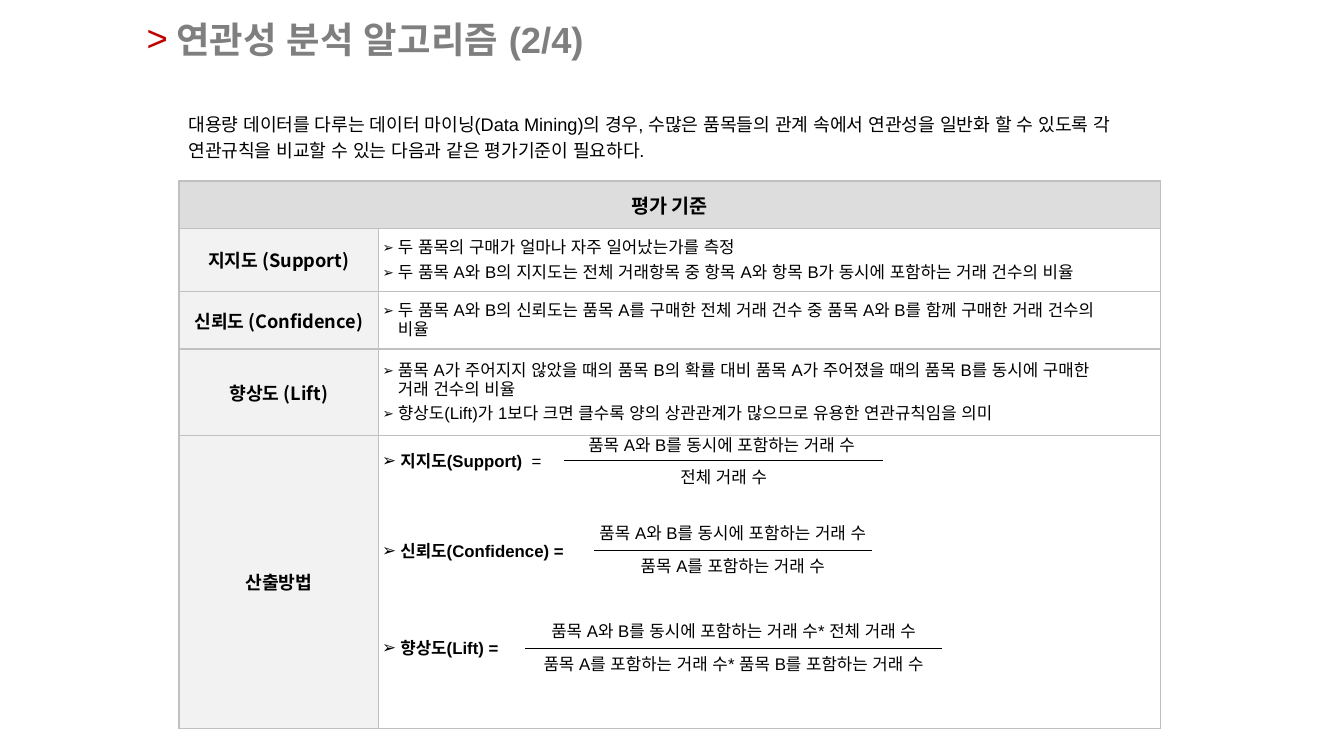
from lxml import etree
from pptx import Presentation
from pptx.dml.color import RGBColor
from pptx.enum.shapes import MSO_CONNECTOR
from pptx.enum.text import MSO_ANCHOR, PP_ALIGN
from pptx.oxml import parse_xml
from pptx.oxml.ns import nsdecls, qn
from pptx.util import Pt

NOTO = "Noto Sans CJK KR"
rgb = RGBColor.from_string


def style(p, size, color="000000", bold=False, font="Arial"):
    for r in p.runs:
        r.font.size = Pt(size)
        r.font.bold = bold
        r.font.color.rgb = rgb(color)
        r.font.name = font
        etree.SubElement(r.font._element, qn("a:ea")).set("typeface", font)


def add_bullet(p, char, indent, color="000000", percent=100):
    pPr = p._p.get_or_add_pPr()
    pPr.set("marL", str(Pt(indent)))
    pPr.set("indent", str(-Pt(indent)))
    for xml in (f'<a:buClr {nsdecls("a")}><a:srgbClr val="{color}"/></a:buClr>',
                f'<a:buSzPct {nsdecls("a")} val="{percent * 1000}"/>',
                f'<a:buFont {nsdecls("a")} typeface="Arial"/>',
                f'<a:buChar {nsdecls("a")} char="{char}"/>'):
        pPr.append(parse_xml(xml))


prs = Presentation()
prs.slide_width, prs.slide_height = Pt(960), Pt(540)
s = prs.slides.add_slide(prs.slide_layouts[5])

title = s.shapes.title
title.left, title.top, title.width, title.height = Pt(97.5), Pt(8.5), Pt(658), Pt(37)
tf = title.text_frame
tf.text = "연관성 분석 알고리즘 (2/4)"
tf.vertical_anchor = MSO_ANCHOR.TOP
p = tf.paragraphs[0]
p.alignment = PP_ALIGN.LEFT
style(p, 26, "7F7F7F", True)
add_bullet(p, ">", 21, "C00000")

rows = [
    ("지지도 (Support)", 45, [
        "두 품목의 구매가 얼마나 자주 일어났는가를 측정",
        "두 품목 A와 B의 지지도는 전체 거래항목 중 항목 A와 항목 B가 동시에 포함하는 거래 건수의 비율"]),
    ("신뢰도 (Confidence)", 41, [
        "두 품목 A와 B의 신뢰도는 품목 A를 구매한 전체 거래 건수 중 품목 A와 B를 함께 구매한 거래 건수의\v비율"]),
    ("향상도 (Lift)", 62, [
        "품목 A가 주어지지 않았을 때의 품목 B의 확률 대비 품목 A가 주어졌을 때의 품목 B를 동시에 구매한\v거래 건수의 비율",
        "향상도(Lift)가 1보다 크면 클수록 양의 상관관계가 많으므로 유용한 연관규칙임을 의미"]),
    ("산출방법", 209, []),
]
table = s.shapes.add_table(5, 2, Pt(127.8), Pt(129.3), Pt(701), Pt(391)).table
table.columns[0].width, table.columns[1].width = Pt(142.5), Pt(558.5)
table.rows[0].height = Pt(34)

header = table.cell(0, 0)
header.merge(table.cell(0, 1))
header.text_frame.text = "평가 기준"
p = header.text_frame.paragraphs[0]
p.alignment = PP_ALIGN.CENTER
style(p, 14, bold=True, font=NOTO)

for i, (label, height, criteria) in enumerate(rows, 1):
    table.rows[i].height = Pt(height)
    name, detail = table.cell(i, 0), table.cell(i, 1)
    name.text_frame.text = label
    p = name.text_frame.paragraphs[0]
    p.alignment = PP_ALIGN.CENTER
    style(p, 13, bold=True, font=NOTO)
    tf = detail.text_frame
    for j, text in enumerate(criteria):
        p = tf.add_paragraph() if j else tf.paragraphs[0]
        p.text = text
        p.space_before = Pt(4.2)
        style(p, 12)
        add_bullet(p, "➢", 11, percent=80)

for i in range(5):
    for j in range(2):
        cell = table.cell(i, j)
        cell.vertical_anchor = MSO_ANCHOR.MIDDLE
        cell.margin_left = cell.margin_right = Pt(3)
        cell.margin_top = cell.margin_bottom = Pt(2.8)
        cell.fill.solid()
        cell.fill.fore_color.rgb = rgb("DDDDDD" if i == 0 else ("F2F2F2", "FFFFFF")[j])
        tcPr = cell._tc.get_or_add_tcPr()
        for k, side in enumerate("LRTB"):
            tcPr.insert(k, parse_xml(
                f'<a:ln{side} {nsdecls("a")} w="{Pt(1)}"><a:solidFill>'
                f'<a:srgbClr val="C0C0C0"/></a:solidFill></a:ln{side}>'))

formulas = [
    ("지지도(Support) ", False, 318, 148, (403, 631, 329),
     ("품목 A와 B를 동시에 포함하는 거래 수", 515.5, 306.5), ("전체 거래 수", 517, 329.5)),
    ("신뢰도(Confidence)", True, 382.5, 150, (424, 623, 393),
     ("품목 A와 B를 동시에 포함하는 거래 수", 523.5, 369.5), ("품목 A를 포함하는 거래 수", 523.5, 393)),
    ("향상도(Lift)", True, 452, 150, (375, 673, 463),
     ("품목 A와 B를 동시에 포함하는 거래 수* 전체 거래 수", 524, 439.5),
     ("품목 A를 포함하는 거래 수* 품목 B를 포함하는 거래 수", 524, 463.5)),
]
texts = [
    ("대용량 데이터를 다루는 데이터 마이닝(Data Mining)의 경우, 수많은 품목들의 관계 속에서 연관성을 "
     "일반화 할 수 있도록 각 연관규칙을 비교할 수 있는 다음과 같은 평가기준이 필요하다.",
     127.5, 75, 703, 43, 13, PP_ALIGN.LEFT, 1.2),
]

for label, bold_sign, top, width, (x1, x2, y), *terms in formulas:
    sp = s.shapes.add_textbox(Pt(273), Pt(top), Pt(width), Pt(22))
    tf = sp.text_frame
    tf.word_wrap = True
    tf.margin_left = 0
    tf.vertical_anchor = MSO_ANCHOR.MIDDLE
    p = tf.paragraphs[0]
    p.text = label
    p.add_run().text = " ="
    style(p, 12, bold=True)
    p.runs[1].font.bold = bold_sign
    add_bullet(p, "➢", 13)
    line = s.shapes.add_connector(MSO_CONNECTOR.STRAIGHT, Pt(x1), Pt(y), Pt(x2), Pt(y))
    line.line.color.rgb = rgb("000000")
    line.line.width = Pt(0.75)
    etree.SubElement(line._element.spPr, qn("a:effectLst"))
    for text, center, term_top in terms:
        texts.append((text, center - 160, term_top, 320, 22, 12, PP_ALIGN.CENTER, 1.0))

for text, left, top, width, height, size, align, spacing in texts:
    sp = s.shapes.add_textbox(Pt(left), Pt(top), Pt(width), Pt(height))
    tf = sp.text_frame
    tf.word_wrap = True
    tf.vertical_anchor = MSO_ANCHOR.MIDDLE
    tf.text = text
    p = tf.paragraphs[0]
    p.alignment = align
    p.line_spacing = spacing
    style(p, size)

prs.save("out.pptx")
